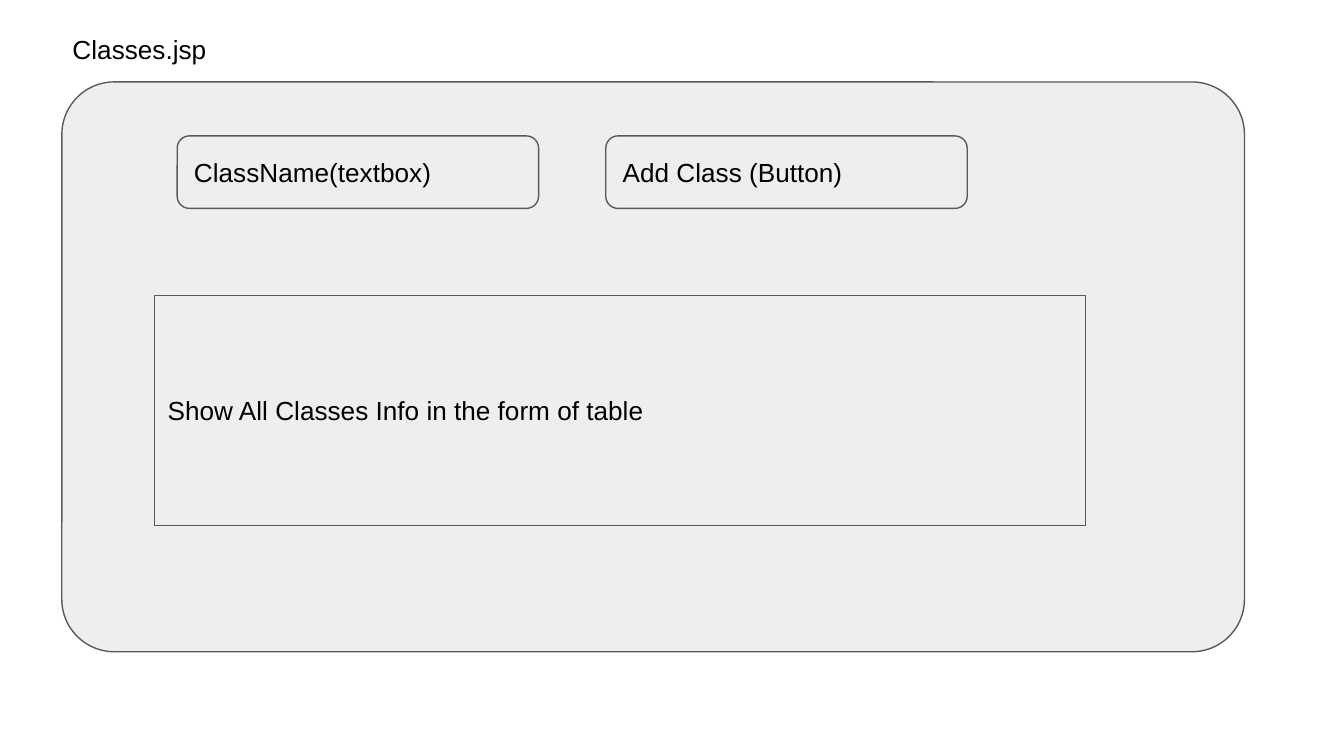
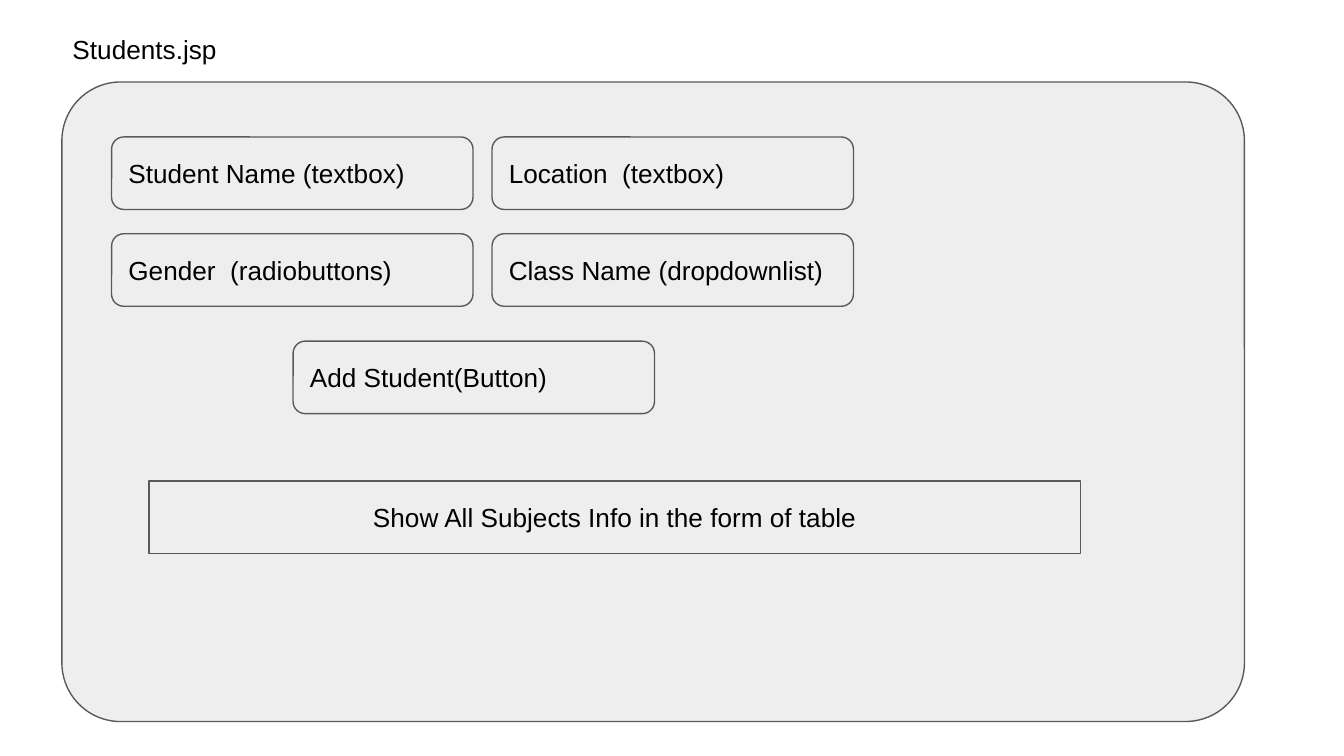
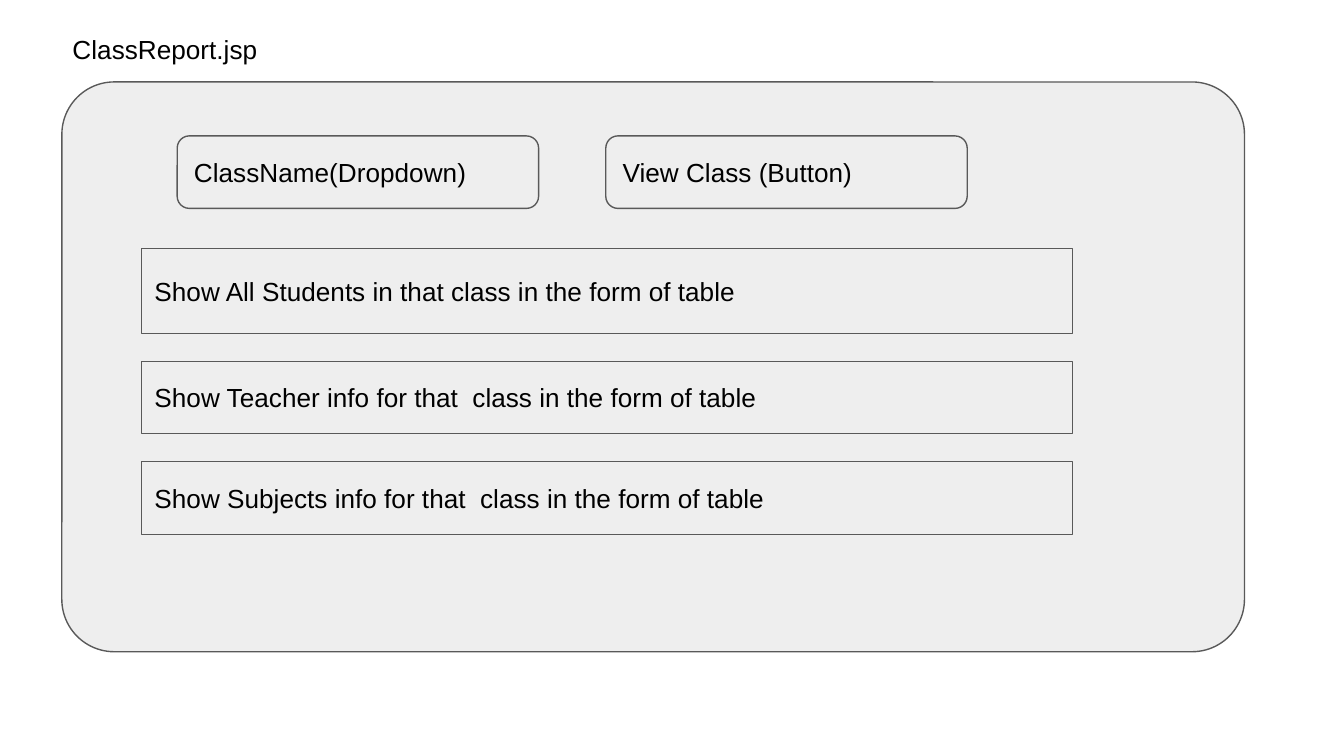
from pptx import Presentation
from pptx.dml.color import RGBColor
from pptx.enum.shapes import MSO_SHAPE
from pptx.enum.text import MSO_ANCHOR, MSO_AUTO_SIZE, PP_ALIGN
from pptx.util import Cm, Pt

FILL, LINE, INK = "EEEEEE", "595959", "000000"
FONT, SIZE, INSET = "Arial", 14, 0.25
PANEL_X, PANEL_Y, PANEL_W = 1.17, 1.55, 22.35
FIELD_W, ROW_H, TABLE_W = 6.83, 1.37, 17.6
TITLE_BOX = (1.12, 0.38, 4.42, 1.12)


def color(value):
    """Turn a hex string into a colour."""
    return RGBColor.from_string(value)


def write(sp, text, anchor, align=PP_ALIGN.LEFT):
    """Put one line of text in the common style into a shape."""
    tf = sp.text_frame
    tf.word_wrap = True
    tf.vertical_anchor = anchor
    tf.margin_left = tf.margin_right = tf.margin_top = tf.margin_bottom = Cm(INSET)
    tf.text = text
    p = tf.paragraphs[0]
    p.alignment = align
    font = p.runs[0].font
    font.name, font.size = FONT, Pt(SIZE)
    font.color.rgb = color(INK)


def add_box(s, kind, box, radius=None):
    """Draw a grey outlined shape in a box given in centimetres."""
    sp = s.shapes.add_shape(kind, *map(Cm, box))
    sp.shadow.inherit = False
    sp.fill.solid()
    sp.fill.fore_color.rgb = color(FILL)
    sp.line.color.rgb = color(LINE)
    sp.line.width = Pt(0.75)
    if radius is not None:
        sp.adjustments[0] = radius
    return sp


def add_page(prs, title, height):
    """Add a slide with the page name and its panel."""
    s = prs.slides.add_slide(prs.slide_layouts[5])
    sp = s.shapes.title
    sp.left, sp.top, sp.width, sp.height = map(Cm, TITLE_BOX)
    write(sp, title, MSO_ANCHOR.TOP)
    sp.text_frame.auto_size = MSO_AUTO_SIZE.SHAPE_TO_FIT_TEXT
    add_box(s, MSO_SHAPE.ROUNDED_RECTANGLE, (PANEL_X, PANEL_Y, PANEL_W, height), 0.092)
    return s


def add_fields(s, x, y, rows, step_x=0, step_y=0):
    """Lay out rounded fields in a grid that starts at x, y in the panel."""
    for i, row in enumerate(rows):
        for j, text in enumerate(row):
            box = (PANEL_X + x + j * step_x, PANEL_Y + y + i * step_y, FIELD_W, ROW_H)
            sp = add_box(s, MSO_SHAPE.ROUNDED_RECTANGLE, box, 0.167)
            write(sp, text, MSO_ANCHOR.MIDDLE)


def add_tables(s, x, y, items, gap=0.0, align=PP_ALIGN.LEFT):
    """Stack table areas, given as text and height, from x, y in the panel."""
    for text, height in items:
        sp = add_box(s, MSO_SHAPE.RECTANGLE, (PANEL_X + x, PANEL_Y + y, TABLE_W, height))
        write(sp, text, MSO_ANCHOR.MIDDLE, align)
        y += height + gap


def add_class_page(prs, title, fields):
    """Add a page with one row of two class fields."""
    s = add_page(prs, title, 10.77)
    add_fields(s, 2.18, 1.02, [fields], step_x=8.1)
    return s


def add_students_page(prs):
    """Add the page with the student form."""
    s = add_page(prs, "Students.jsp", 12.09)
    form = [
        ("Student Name (textbox)", "Location  (textbox)"),
        ("Gender  (radiobuttons)", "Class Name (dropdownlist)"),
    ]
    add_fields(s, 0.94, 1.04, form, step_x=7.19, step_y=1.83)
    add_fields(s, 4.37, 4.9, [("Add Student(Button)",)])
    subjects = [("Show All Subjects Info in the form of table", ROW_H)]
    add_tables(s, 1.65, 7.54, subjects, align=PP_ALIGN.CENTER)


def main():
    """Build the three pages and save them."""
    prs = Presentation()
    prs.slide_width, prs.slide_height = Cm(25.4), Cm(14.29)

    s = add_class_page(prs, "Classes.jsp", ("ClassName(textbox)", "Add Class (Button)"))
    add_tables(s, 1.75, 4.04, [("Show All Classes Info in the form of table", 4.34)])

    add_students_page(prs)

    s = add_class_page(prs, "ClassReport.jsp", ("ClassName(Dropdown)", "View Class (Button)"))
    reports = [
        ("Show All Students in that class in the form of table", 1.6),
        ("Show Teacher info for that  class in the form of table", ROW_H),
        ("Show Subjects info for that  class in the form of table", ROW_H),
    ]
    add_tables(s, 1.5, 3.15, reports, gap=0.53)

    prs.save("out.pptx")


main()
